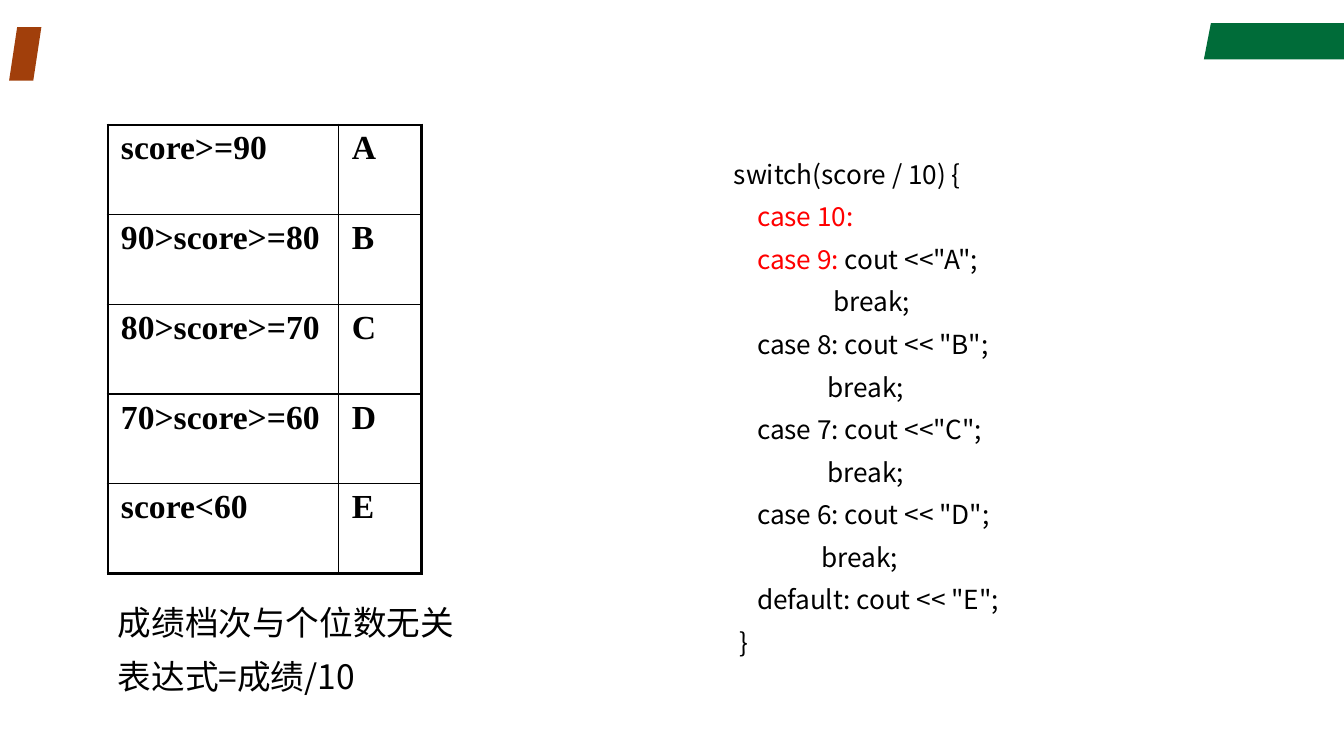
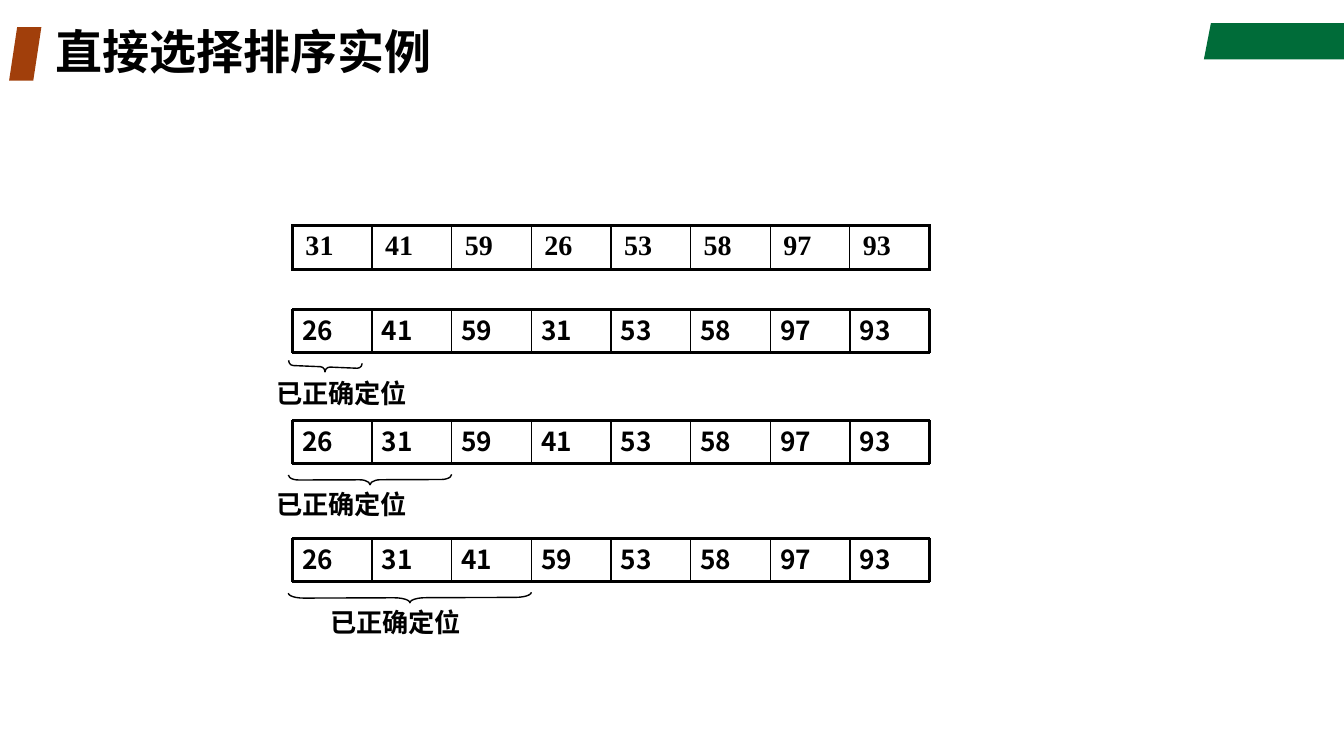
from dataclasses import dataclass

from lxml.etree import SubElement
from pptx import Presentation
from pptx.dml.color import RGBColor
from pptx.enum.shapes import MSO_CONNECTOR, MSO_SHAPE
from pptx.enum.text import MSO_ANCHOR
from pptx.oxml.ns import qn
from pptx.presentation import Presentation as Deck
from pptx.slide import Slide, SlideLayout
from pptx.text.text import TextFrame
from pptx.util import Inches, Pt


@dataclass(frozen=True)
class Theme:
    ink: str = "000000"
    red: str = "FF0000"
    green: str = "006C39"
    rust: str = "A13F0B"
    sans: str = "Noto Sans CJK SC"
    serif: str = "Times New Roman"
    title: float = 33.6
    note: float = 24
    digit: float = 20
    code: float = 18.67
    lead: float = 1.2
    thick: float = 2.25
    thin: float = 1


@dataclass(frozen=True)
class Line:
    """One line of code: its indent, a plain part and a red part."""
    indent: float
    plain: str = ""
    red: str = ""


@dataclass(frozen=True)
class Step:
    """One sorting pass, with the brace under its sorted part."""
    top: float
    nums: str
    span: float
    bend: float
    mid: float
    label: float
    turn: float = 90


T = Theme()

GRADES = [["score>=90", "A"], ["90>score>=80", "B"], ["80>score>=70", "C"],
          ["70>score>=60", "D"], ["score<60", "E"]]

NOTES = [(5.92, "成绩档次与个位数无关"), (6.46, "表达式=成绩/10")]

CODE = [
    Line(0, "switch(score / 10) {"),
    Line(0.23, red="case 10:"),
    Line(0.23, 'cout <<"A";', red="case 9: "),
    Line(0.99, "break;"),
    Line(0.23, 'case 8: cout << "B";'),
    Line(0.93, "break;"),
    Line(0.23, 'case 7: cout <<"C";'),
    Line(0.93, "break;"),
    Line(0.23, 'case 6: cout << "D";'),
    Line(0.87, "break;"),
    Line(0.23, 'default: cout << "E";'),
    Line(0.06, "}"),
]

START = "31 41 59 26 53 58 97 93"
STEPS = [
    Step(3.07, "26 41 59 31 53 58 97 93", 0.73, 0.47, 3.64, 2.64, 92.4),
    Step(4.17, "26 31 59 41 53 58 97 93", 1.62, 1.04, 4.76, 2.64, 89.8),
    Step(5.34, "26 31 41 59 53 58 97 93", 2.41, 1.55, 5.93, 3.18, 89.8),
]
LEFT, CELL, HIGH = 2.9, 0.79, 0.43


# Text
def write(frame: TextFrame, text: str, *, size: float, font: str = T.sans,
          color: str = T.ink, bold: bool = False, fresh: bool = False,
          indent: float = 0, before: float = 0,
          lead: float | None = None) -> None:
    """Add a run to the last paragraph, or to a fresh one."""
    para = frame.add_paragraph() if fresh else frame.paragraphs[-1]
    if indent:
        para._p.get_or_add_pPr().set("marL", str(Inches(indent)))
        para._p.get_or_add_pPr().set("indent", "0")
    if before:
        para.space_before = Pt(before)
    if lead:
        para.line_spacing = lead
    elif font == T.sans:
        para.line_spacing = Pt(round(size * T.lead, 1))
    run = para.add_run()
    run.text = text
    run.font.size, run.font.bold, run.font.name = Pt(size), bold, font
    run.font.color.rgb = RGBColor.from_string(color)
    east = SubElement(run._r.get_or_add_rPr(), qn("a:ea"))
    east.set("typeface", font)


def add_box(slide: Slide, x: float, y: float, w: float, h: float) -> TextFrame:
    box = slide.shapes.add_textbox(Inches(x), Inches(y), Inches(w), Inches(h))
    box.text_frame.word_wrap = True
    return box.text_frame


# Tables
def add_edge(cell, side: str, width: float) -> None:
    edge = SubElement(cell._tc.get_or_add_tcPr(), qn(f"a:{side}"))
    edge.set("w", str(Pt(width)))
    fill = SubElement(edge, qn("a:solidFill"))
    SubElement(fill, qn("a:srgbClr")).set("val", T.ink)


def add_grid(slide: Slide, data: list[list[str]], x: float, y: float,
             widths: list[float], high: float, size: float) -> None:
    """Draw a table with thin inner lines and a thick frame."""
    rows, cols = len(data), len(widths)
    grid = slide.shapes.add_table(rows, cols, Inches(x), Inches(y),
                                  Inches(sum(widths)), Inches(high * rows)).table
    grid.first_row = grid.horz_banding = False
    for col, width in zip(grid.columns, widths):
        col.width = Inches(width)
    for r, line in enumerate(data):
        grid.rows[r].height = Inches(high)
        for c, text in enumerate(line):
            cell = grid.cell(r, c)
            cell.margin_left = cell.margin_right = Inches(0.13)
            cell.margin_top = cell.margin_bottom = Inches(0.05)
            outer = {"lnL": c == 0, "lnR": c == cols - 1,
                     "lnT": r == 0, "lnB": r == rows - 1}
            for side, edge in outer.items():
                add_edge(cell, side, T.thick if edge else T.thin)
            cell.fill.background()
            write(cell.text_frame, text, size=size, font=T.serif, bold=True)


# Shared bands and title place
def add_bands(layout: SlideLayout, slide: Slide) -> None:
    """Draw the bands, then move them to the layout."""
    pen = slide.shapes.build_freeform(Inches(12.01), Inches(0.23), 1.0)
    pen.add_line_segments([(Inches(x), Inches(y)) for x, y in
                           [(13.33, 0.23), (13.33, 0.59), (11.94, 0.59)]])
    ribbon = pen.convert_to_shape()
    mark = slide.shapes.add_shape(MSO_SHAPE.PARALLELOGRAM, Inches(0.09),
                                  Inches(0.27), Inches(0.32), Inches(0.53))
    for band, color in [(ribbon, T.green), (mark, T.rust)]:
        band.fill.solid()
        band.fill.fore_color.rgb = RGBColor.from_string(color)
        band.line.fill.background()
        band.shadow.inherit = False
        layout.shapes._spTree.append(band._element)


def set_title(layout: SlideLayout) -> None:
    for shape in layout.placeholders:
        if shape.placeholder_format.idx == 0:
            shape.left, shape.top = Inches(0.45), Inches(0.27)
            shape.width, shape.height = Inches(9.45), Inches(0.53)
            style = shape.text_frame._txBody.find(qn("a:lstStyle"))
            SubElement(style, qn("a:lvl1pPr")).set("algn", "l")


# Sorting steps
def add_rule(slide: Slide, x: float, y: float, to_x: float, to_y: float,
             width: float) -> None:
    rule = slide.shapes.add_connector(MSO_CONNECTOR.STRAIGHT, Inches(x),
                                      Inches(y), Inches(to_x), Inches(to_y))
    rule.line.color.rgb = RGBColor.from_string(T.ink)
    rule.line.width = Pt(width)
    SubElement(rule._element.spPr, qn("a:effectLst"))


def add_brace(slide: Slide, step: Step) -> None:
    wide = 0.1
    mid_x = LEFT - 0.04 + step.span / 2
    brace = slide.shapes.add_shape(
        MSO_SHAPE.RIGHT_BRACE, Inches(mid_x - wide / 2),
        Inches(step.mid - step.span / 2), Inches(wide), Inches(step.span))
    brace.adjustments[0] = step.bend
    brace.rotation = step.turn
    brace.fill.background()
    brace.line.color.rgb = RGBColor.from_string(T.ink)
    brace.line.width = Pt(T.thin)
    brace.shadow.inherit = False


def add_step(slide: Slide, step: Step) -> None:
    nums = step.nums.split()
    count, low = len(nums), step.top + HIGH
    for i, num in enumerate(nums):
        write(add_box(slide, LEFT + i * CELL, step.top, CELL, HIGH), num,
              size=T.code, bold=True)
    for y in (step.top, low):
        add_rule(slide, LEFT, y, LEFT + count * CELL, y, T.thick)
    for i in range(count + 1):
        x = LEFT + i * CELL
        add_rule(slide, x, step.top, x, low,
                 T.thick if i in (0, count) else T.thin)
    add_brace(slide, step)
    write(add_box(slide, step.label, step.top + 0.63, 2.04, 0.41),
          "已正确定位", size=T.code, bold=True)


# Slides
def add_switch(deck: Deck, layout: SlideLayout) -> Slide:
    slide = deck.slides.add_slide(layout)
    title = slide.shapes.title._element
    title.getparent().remove(title)
    add_grid(slide, GRADES, 1.07, 1.24, [2.29, 0.82], 0.89, T.note)
    for top, text in NOTES:
        write(add_box(slide, 1.07, top, 5.31, 0.5), text, size=T.note)
    frame = add_box(slide, 7.18, 1.52, 3.89, 5.11)
    for i, line in enumerate(CODE):
        fresh = i > 0
        for text, color in [(line.red, T.red), (line.plain, T.ink)]:
            if text:
                write(frame, text, size=T.code, color=color, fresh=fresh,
                      indent=line.indent, before=8)
                fresh = False
    return slide


def add_sort(deck: Deck, layout: SlideLayout) -> None:
    slide = deck.slides.add_slide(layout)
    frame = slide.shapes.title.text_frame
    frame.vertical_anchor = MSO_ANCHOR.MIDDLE
    write(frame, "直接选择排序实例", size=T.title, bold=True, lead=0.9)
    nums = START.split()
    add_grid(slide, [nums], LEFT, 2.24, [CELL] * len(nums), HIGH, T.digit)
    for step in STEPS:
        add_step(slide, step)


def main() -> None:
    deck = Presentation()
    deck.slide_width, deck.slide_height = Inches(13.33), Inches(7.5)
    layout = deck.slide_layouts.get_by_name("Title Only")
    set_title(layout)
    add_bands(layout, add_switch(deck, layout))
    add_sort(deck, layout)
    deck.save("out.pptx")


if __name__ == "__main__":
    main()
